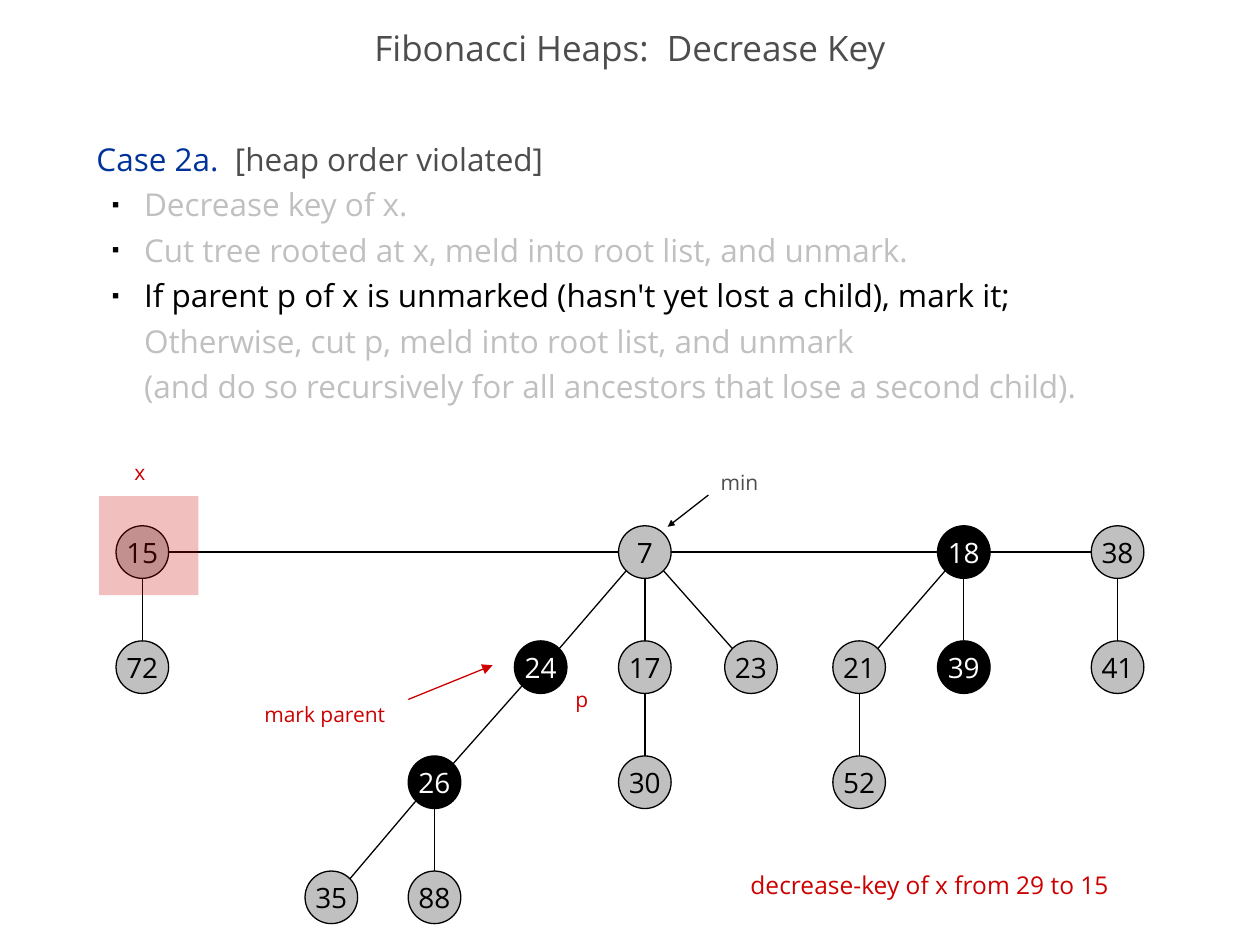
from dataclasses import dataclass
from itertools import pairwise
from math import sqrt

from lxml.etree import SubElement
from pptx import Presentation
from pptx.dml.color import RGBColor
from pptx.enum.shapes import MSO_CONNECTOR as Connector, MSO_SHAPE as Shape
from pptx.enum.text import MSO_ANCHOR as Anchor, MSO_AUTO_SIZE as AutoSize, PP_ALIGN as Align
from pptx.oxml.ns import qn
from pptx.util import Cm, Pt


@dataclass(frozen=True)
class Theme:
    font: str = "Open Sans"
    ink: str = "000000"
    text: str = "4D4D4D"
    muted: str = "C0C0C0"
    heading: str = "003399"
    accent: str = "CC0000"
    marked: str = "010000"
    light: str = "FFFFFF"
    title_size: int = 20
    body_size: int = 18
    node_size: int = 16
    caption_size: int = 14
    label_size: int = 12
    line_width: float = 0.75
    radius: float = 0.53  # cm


class HeapSlide:
    """Holds the theme and the current slide; all lengths are in centimetres."""

    def __init__(self, page, theme):
        self.page = page
        self.shapes = page.shapes
        self.theme = theme

    def place(self, box, left, top, width, height):
        box.left, box.top, box.width, box.height = map(Cm, (left, top, width, height))

    def style(self, span, size, color):
        span.font.name = self.theme.font
        span.font.size = Pt(size)
        span.font.color.rgb = RGBColor.from_string(color)

    def title(self, text, *position):
        box = self.shapes.title
        self.place(box, *position)
        frame = box.text_frame
        frame.text = text
        frame.vertical_anchor = Anchor.MIDDLE
        frame.auto_size = AutoSize.NONE
        para = frame.paragraphs[0]
        para.alignment = Align.CENTER
        para.line_spacing = 0.7
        self.style(para.runs[0], self.theme.title_size, self.theme.text)

    def add_bullet(self, para):
        para.level = 1
        props = para._p.get_or_add_pPr()
        props.set("marL", str(Cm(0.96)))
        props.set("indent", str(Cm(-0.64)))
        color = SubElement(props, qn("a:buClr"))
        SubElement(color, qn("a:srgbClr"), val=self.theme.ink)
        SubElement(props, qn("a:buSzPct"), val="35000")
        SubElement(props, qn("a:buFont"), typeface="Arial")
        SubElement(props, qn("a:buChar"), char="■")

    def body(self, heading, bullets, *position):
        """Heading and bullets are lists of (text, color); bullet parts go on lines."""
        box = self.page.placeholders[1]
        self.place(box, *position)
        frame = box.text_frame
        frame.auto_size = AutoSize.NONE
        first = frame.paragraphs[0]
        props = first._p.get_or_add_pPr()
        props.set("marL", "0")
        props.set("indent", "0")
        SubElement(props, qn("a:buNone"))
        for text, color in heading:
            span = first.add_run()
            span.text = text
            self.style(span, self.theme.body_size, color)
        for lines in bullets:
            para = frame.add_paragraph()
            self.add_bullet(para)
            para.text = "\v".join(text for text, _ in lines)
            for span, (_, color) in zip(para.runs, lines):
                self.style(span, self.theme.body_size, color)
        for para in frame.paragraphs:
            para.line_spacing = Pt(26)
            para.space_before = Pt(0)

    def line(self, start, end, color, head=None):
        link = self.shapes.add_connector(Connector.STRAIGHT, *map(Cm, (*start, *end)))
        link.line.color.rgb = RGBColor.from_string(color)
        link.line.width = Pt(self.theme.line_width)
        if head:
            outline = link._element.spPr.find(qn("a:ln"))
            SubElement(outline, qn("a:tailEnd"), type="triangle", w=head, len=head)
        SubElement(link._element.spPr, qn("a:effectLst"))

    def edge(self, start, end):
        """Join two circles at their nearest side or 45-degree points."""
        step = [(b > a) - (b < a) for a, b in zip(start, end)]
        reach = self.theme.radius / sqrt(2 if all(step) else 1)
        self.line([a + s * reach for a, s in zip(start, step)],
                  [b - s * reach for b, s in zip(end, step)], self.theme.ink)

    def node(self, key, center, marked):
        theme = self.theme
        x, y = center
        size = 2 * theme.radius
        circle = self.shapes.add_shape(
            Shape.OVAL, *map(Cm, (x - theme.radius, y - theme.radius, size, size)))
        circle.shadow.inherit = False
        circle.fill.solid()
        circle.fill.fore_color.rgb = RGBColor.from_string(theme.marked if marked else theme.muted)
        circle.line.color.rgb = RGBColor.from_string(theme.ink)
        circle.line.width = Pt(theme.line_width)
        frame = circle.text_frame
        frame.text = str(key)
        frame.word_wrap = False
        frame.vertical_anchor = Anchor.MIDDLE
        para = frame.paragraphs[0]
        para.alignment = Align.CENTER
        self.style(para.runs[0], theme.node_size, theme.light if marked else theme.ink)

    def label(self, text, size, color, *position):
        box = self.shapes.add_textbox(*map(Cm, position))
        frame = box.text_frame
        frame.text = text
        frame.word_wrap = False
        frame.auto_size = AutoSize.SHAPE_TO_FIT_TEXT
        self.style(frame.paragraphs[0].runs[0], size, color)

    def highlight(self, start, curves, steps=8):
        """Translucent outline through cubic curves, each (control, control, end)."""
        points, here = [], start
        for first, second, end in curves:
            for t in (step / steps for step in range(1, steps + 1)):
                u = 1 - t
                points.append(tuple(
                    u**3 * a + 3 * u * u * t * b + 3 * u * t * t * c + t**3 * d
                    for a, b, c, d in zip(here, first, second, end)))
            here = end
        builder = self.shapes.build_freeform(*start, scale=Cm(1))
        builder.add_line_segments(points, close=True)
        patch = builder.convert_to_shape()
        patch.shadow.inherit = False
        patch.line.fill.background()
        patch.fill.solid()
        patch.fill.fore_color.rgb = RGBColor.from_string(self.theme.accent)
        color = patch._element.spPr.find(qn("a:solidFill"))[0]
        SubElement(color, qn("a:alpha"), val="25000")


# Heap: key -> (column centre, level), with levels at an equal pitch
COLUMNS = {15: (2.87, 0), 72: (2.87, 1), 35: (6.68, 3), 26: (8.76, 2), 88: (8.76, 3),
           24: (10.9, 1), 7: (13, 0), 17: (13, 1), 30: (13, 2), 23: (15.14, 1),
           21: (17.32, 1), 52: (17.32, 2), 18: (19.43, 0), 39: (19.43, 1),
           38: (22.53, 0), 41: (22.53, 1)}
CENTERS = {key: (x, 11.13 + 2.32 * level) for key, (x, level) in COLUMNS.items()}
CHILDREN = {15: [72], 7: [24, 17, 23], 24: [26], 26: [35, 88], 17: [30],
            18: [21, 39], 21: [52], 38: [41]}
ROOTS = [15, 7, 18, 38]
MARKED = {24, 26, 18, 39}
HIGHLIGHT = [((2.29, 10.44), (2.41, 10.36), (2.54, 10.34)),
             ((2.72, 10.21), (2.64, 10.24), (2.79, 10.19)),
             ((3.18, 10.21), (3.25, 10.16), (3.53, 10.31)),
             ((3.63, 10.44), (3.66, 10.54), (3.73, 10.67)),
             ((3.73, 11), (3.89, 11.66), (3.45, 11.76)),
             ((3.2, 11.91), (2.9, 11.94), (2.62, 11.99)),
             ((2.41, 11.96), (2.18, 12.01), (2.06, 11.84)),
             ((1.98, 11.61), (1.96, 11.58), (1.93, 11.28)),
             ((1.98, 11.07), (2.03, 10.9), (2.08, 10.69)),
             ((2.11, 10.62), (2.16, 10.57), (2.16, 10.49))]


def main():
    deck = Presentation()
    deck.slide_width, deck.slide_height = Cm(25.4), Cm(19.05)
    theme = Theme()
    slide = HeapSlide(deck.slides.add_slide(deck.slide_layouts[1]), theme)

    # Title and explanation
    slide.title("Fibonacci Heaps:  Decrease Key", 0, 0.42, 25.4, 1.27)
    slide.body(
        [("Case 2a.  ", theme.heading), ("[heap order violated]", theme.text)],
        [[("Decrease key of x.", theme.muted)],
         [("Cut tree rooted at x, meld into root list, and unmark.", theme.muted)],
         [("If parent p of x is unmarked (hasn't yet lost a child), mark it;", theme.ink),
          ("Otherwise, cut p, meld into root list, and unmark", theme.muted),
          ("(and do so recursively for all ancestors that lose a second child).", theme.muted)]],
        1.69, 2.54, 21.8, 15.03)

    # Root list, tree edges and nodes
    links = [(parent, child) for parent, group in CHILDREN.items() for child in group]
    for start, end in [*pairwise(ROOTS), *links]:
        slide.edge(CENTERS[start], CENTERS[end])
    for key, center in CENTERS.items():
        slide.node(key, center, key in MARKED)

    # Highlight around x
    slide.highlight((2.16, 10.49), HIGHLIGHT)

    # Labels and pointers
    small = theme.label_size
    slide.label("min", small, theme.text, 14.28, 9.35, 1.27, 0.76)
    slide.label("x", small, theme.accent, 2.46, 9.14, 0.76, 0.76)
    slide.label("p", small, theme.accent, 11.35, 13.72, 0.76, 0.76)
    slide.label("mark parent", small, theme.accent, 5.08, 14.02, 2.97, 0.76)
    slide.label("decrease-key of x from 29 to 15", theme.caption_size, theme.accent,
                14.88, 17.42, 9.75, 0.86)
    slide.line((14.28, 9.98), (13.46, 10.62), theme.ink, head="sm")
    slide.line((8.23, 14.1), (9.93, 13.41), theme.accent, head="med")

    deck.save("out.pptx")


if __name__ == "__main__":
    main()
